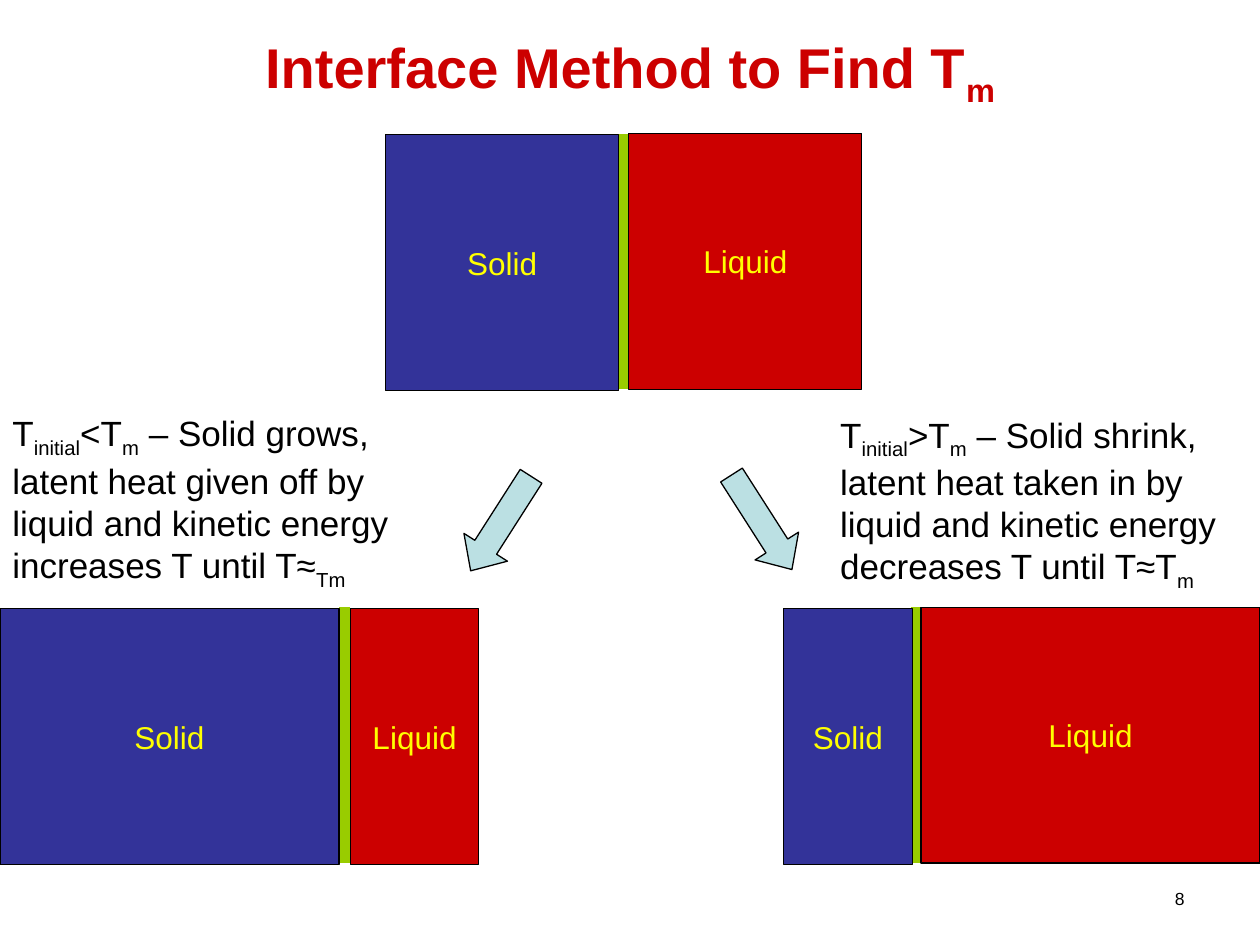
from dataclasses import dataclass

from lxml import etree
from pptx import Presentation
from pptx.dml.color import RGBColor
from pptx.enum.shapes import MSO_CONNECTOR, MSO_SHAPE
from pptx.enum.text import MSO_ANCHOR, MSO_AUTO_SIZE, PP_ALIGN
from pptx.oxml.ns import qn
from pptx.util import Inches, Pt


@dataclass(frozen=True)
class Theme:
    font: str = "Arial"
    title: str = "CC0000"
    text: str = "000000"
    label: str = "FFFF00"
    solid: str = "333399"
    liquid: str = "CC0000"
    interface: str = "99CC00"
    arrow: str = "BBE0E3"
    outline: str = "000000"
    title_size: int = 32
    body_size: int = 20
    label_size: int = 18
    number_size: int = 10
    outline_width: float = 0.75
    interface_width: float = 6


def apply(target, values):
    for name, value in values.items():
        setattr(target, name, value)


class SlideBuilder:
    def __init__(self, slide, theme):
        self.slide = slide
        self.theme = theme

    def add_runs(self, frame, pieces, size, color, align=PP_ALIGN.LEFT, bold=False):
        """Add pieces in turn; every second one is a subscript."""
        paragraph = frame.paragraphs[0]
        paragraph.alignment = align
        for index, piece in enumerate(pieces):
            run = paragraph.add_run()
            run.text = piece
            apply(run.font, {"name": self.theme.font, "size": Pt(size), "bold": bold})
            run.font.color.rgb = RGBColor.from_string(color)
            if index % 2:
                run._r.get_or_add_rPr().set("baseline", "-25000")

    def title(self, pieces, left, top, width, height):
        heading = self.slide.shapes.title
        apply(heading, {"left": Inches(left), "top": Inches(top),
                        "width": Inches(width), "height": Inches(height)})
        apply(heading.text_frame, {"vertical_anchor": MSO_ANCHOR.MIDDLE,
                                   "auto_size": MSO_AUTO_SIZE.NONE})
        self.add_runs(heading.text_frame, pieces, self.theme.title_size,
                      self.theme.title, PP_ALIGN.CENTER, bold=True)

    def text(self, pieces, left, top, width, height, size, align=PP_ALIGN.LEFT,
             auto_size=MSO_AUTO_SIZE.NONE):
        box = self.slide.shapes.add_textbox(
            Inches(left), Inches(top), Inches(width), Inches(height))
        apply(box.text_frame, {"word_wrap": True, "auto_size": auto_size})
        self.add_runs(box.text_frame, pieces, size, self.theme.text, align)

    def shape(self, kind, left, top, width, height, fill):
        shape = self.slide.shapes.add_shape(
            kind, Inches(left), Inches(top), Inches(width), Inches(height))
        shape.shadow.inherit = False
        shape.fill.solid()
        shape.fill.fore_color.rgb = RGBColor.from_string(fill)
        shape.line.color.rgb = RGBColor.from_string(self.theme.outline)
        shape.line.width = Pt(self.theme.outline_width)
        return shape

    def phase(self, label, left, top, width, height, fill):
        block = self.shape(MSO_SHAPE.RECTANGLE, left, top, width, height, fill)
        apply(block.text_frame, {"word_wrap": False, "vertical_anchor": MSO_ANCHOR.MIDDLE})
        self.add_runs(block.text_frame, [label], self.theme.label_size,
                      self.theme.label, PP_ALIGN.CENTER)

    def interface(self, x, top, bottom):
        line = self.slide.shapes.add_connector(
            MSO_CONNECTOR.STRAIGHT, Inches(x), Inches(top), Inches(x), Inches(bottom))
        line.line.color.rgb = RGBColor.from_string(self.theme.interface)
        line.line.width = Pt(self.theme.interface_width)
        etree.SubElement(line._element.spPr, qn("a:effectLst"))

    def cell(self, solid, liquid, top, height=2.03):
        """Draw a solid and a liquid block with the interface midway in the gap.

        Each block is (left, top, width).
        """
        self.interface((solid[0] + solid[2] + liquid[0]) / 2, top, top + height)
        self.phase("Solid", *solid, height, self.theme.solid)
        self.phase("Liquid", *liquid, height, self.theme.liquid)

    def arrow(self, left, top, rotation):
        arrow = self.shape(MSO_SHAPE.RIGHT_ARROW, left, top, 0.89, 0.41, self.theme.arrow)
        arrow.adjustments[1] = 0.54
        arrow.rotation = rotation


def main():
    deck = Presentation()
    apply(deck, {"slide_width": Inches(10), "slide_height": Inches(7.5)})
    theme = Theme()
    builder = SlideBuilder(deck.slides.add_slide(deck.slide_layouts[5]), theme)

    # Page number and title
    builder.text(["8"], 7.17, 7, 2.33, 0.35, theme.number_size, PP_ALIGN.RIGHT)
    builder.title(["Interface Method to Find T", "m"], 0, 0, 10, 1.12)

    # Starting cell, then the shrunken and the grown solid
    builder.cell(solid=(3.06, 1.07, 1.85), liquid=(4.99, 1.06, 1.85), top=1.06)
    builder.cell(solid=(6.22, 4.83, 1.02), liquid=(7.31, 4.82, 2.69), top=4.82)
    builder.cell(solid=(0, 4.83, 2.69), liquid=(2.78, 4.83, 1.02), top=4.82)

    # Arrows to the two outcomes, mirrored about the vertical
    tilt = 57.4
    builder.arrow(5.6, 3.94, tilt)
    builder.arrow(3.53, 3.95, 180 - tilt)

    # Explanations
    outcomes = [
        (6.57, 3.23, ["T", "initial", ">T", "m",
                      " – Solid shrink, latent heat taken in by liquid and "
                      "kinetic energy decreases T until T≈T", "m"]),
        (0, 3.22, ["T", "initial", "<T", "m",
                   " – Solid grows, latent heat given off by liquid and "
                   "kinetic energy increases T until T≈", "Tm"]),
    ]
    for left, top, pieces in outcomes:
        builder.text(pieces, left, top, 3.43, 1.43, theme.body_size,
                     auto_size=MSO_AUTO_SIZE.SHAPE_TO_FIT_TEXT)

    deck.save("out.pptx")


if __name__ == "__main__":
    main()
